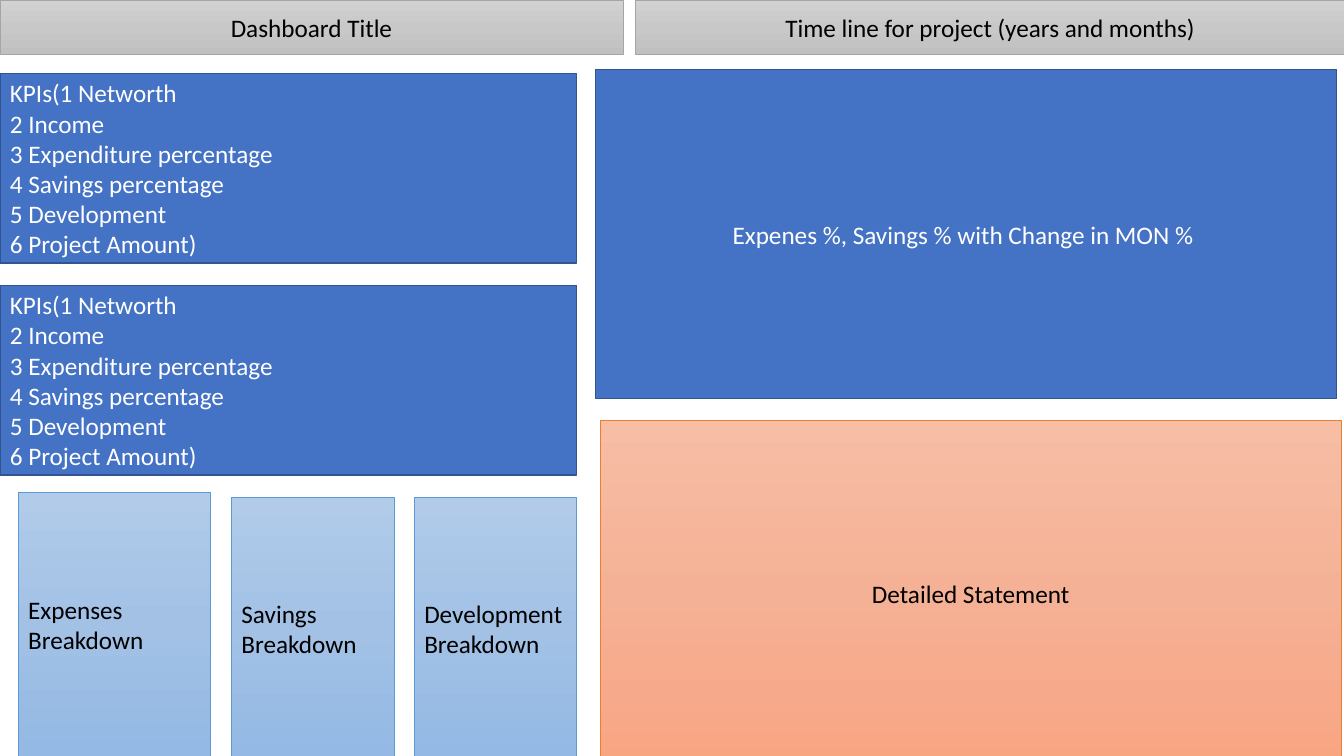
from copy import deepcopy

from pptx import Presentation
from pptx.dml.color import RGBColor
from pptx.enum.shapes import MSO_SHAPE
from pptx.enum.text import MSO_ANCHOR, PP_ALIGN
from pptx.oxml.ns import qn
from pptx.util import Pt

RECTANGLE = MSO_SHAPE.RECTANGLE
MIDDLE = MSO_ANCHOR.MIDDLE
LEFT, CENTER = PP_ALIGN.LEFT, PP_ALIGN.CENTER

# Content
HEADERS = ["Dashboard Title", "Time line for project (years and months)"]
KPIS = [
    "KPIs(1 Networth",
    "2 Income",
    "3 Expenditure percentage",
    "4 Savings percentage",
    "5 Development ",
    "6 Project Amount)",
]
BREAKDOWNS = ["Expenses Breakdown", "Savings Breakdown", "Development Breakdown"]
TREND = "Expenes %, Savings % with Change in MON % "
STATEMENT = "Detailed Statement"

# Theme: each style has fill colours from top to bottom, line, line width, text
THEME = {
    "font": "Calibri",
    "size": 18,
    "header": (["D2D2D2", "C8C8C8", "C0C0C0"], "A5A5A5", 0.5, "000000"),
    "panel": (["4472C4"], "325491", 1, "FFFFFF"),
    "breakdown": (["B1CBE9", "A3C1E5", "93B9E4"], "5B9BD5", 0.5, "000000"),
    "statement": (["F7BDA5", "F5B196", "F8A582"], "ED7D31", 0.5, "000000"),
}

# Layout in points
SLIDE_WIDTH, SLIDE_HEIGHT = 960, 540
HEADER_HEIGHT = 38.9
HEADER_SPANS = [(0, 445), (454.2, 506.2)]
KPI_TOP, KPI_WIDTH, KPI_HEIGHT, KPI_PITCH = 52.5, 412, 135.4, 151.3
KPI_COUNT = 2
BREAKDOWN_HEIGHT = 188
BREAKDOWN_SPANS = [(13, 352, 137.5), (165.4, 355, 116), (296, 355, 116)]
RIGHT_WIDTH = 529.3

deck = Presentation()
deck.slide_width, deck.slide_height = Pt(SLIDE_WIDTH), Pt(SLIDE_HEIGHT)
page = deck.slides.add_slide(deck.slide_layouts[6])


def paint(box, colors):
    """Fill with one colour, or with a three-stop gradient running down."""
    fill = box.fill
    if len(colors) == 1:
        fill.solid()
        fill.fore_color.rgb = RGBColor.from_string(colors[0])
        return
    fill.gradient()
    fill.gradient_angle = 270
    stop_list = box._element.spPr.find(qn("a:gradFill")).find(qn("a:gsLst"))
    stop_list.insert(1, deepcopy(stop_list[0]))
    for index, (stop, color) in enumerate(zip(fill.gradient_stops, colors)):
        stop.position = index / (len(colors) - 1)
        stop.color.rgb = RGBColor.from_string(color)


def write(frame, lines, *, color, align):
    frame.word_wrap = True
    frame.vertical_anchor = MIDDLE
    for index, line in enumerate(lines):
        para = frame.add_paragraph() if index else frame.paragraphs[0]
        para.alignment = align
        span = para.add_run()
        span.text = line
        span.font.name = THEME["font"]
        span.font.size = Pt(THEME["size"])
        span.font.color.rgb = RGBColor.from_string(color)


def add_box(left, top, width, height, lines, *, style, align=CENTER):
    colors, line_color, line_width, text_color = THEME[style]
    box = page.shapes.add_shape(RECTANGLE, Pt(left), Pt(top), Pt(width), Pt(height))
    box.shadow.inherit = False
    paint(box, colors)
    box.line.color.rgb = RGBColor.from_string(line_color)
    box.line.width = Pt(line_width)
    write(box.text_frame, lines, color=text_color, align=align)


# Header bars
for title, (left, width) in zip(HEADERS, HEADER_SPANS):
    add_box(left, 0, width, HEADER_HEIGHT, [title], style="header")

# KPI panels
for row in range(KPI_COUNT):
    add_box(0, KPI_TOP + row * KPI_PITCH, KPI_WIDTH, KPI_HEIGHT, KPIS,
            style="panel", align=LEFT)

# Breakdown cards
for label, (left, top, width) in zip(BREAKDOWNS, BREAKDOWN_SPANS):
    add_box(left, top, width, BREAKDOWN_HEIGHT, [label],
            style="breakdown", align=LEFT)

# Right-hand panels
add_box(425.3, 49.7, RIGHT_WIDTH, 234.8, [TREND], style="panel")
add_box(428.7, 300.3, RIGHT_WIDTH, 247, [STATEMENT], style="statement")

deck.save("out.pptx")
